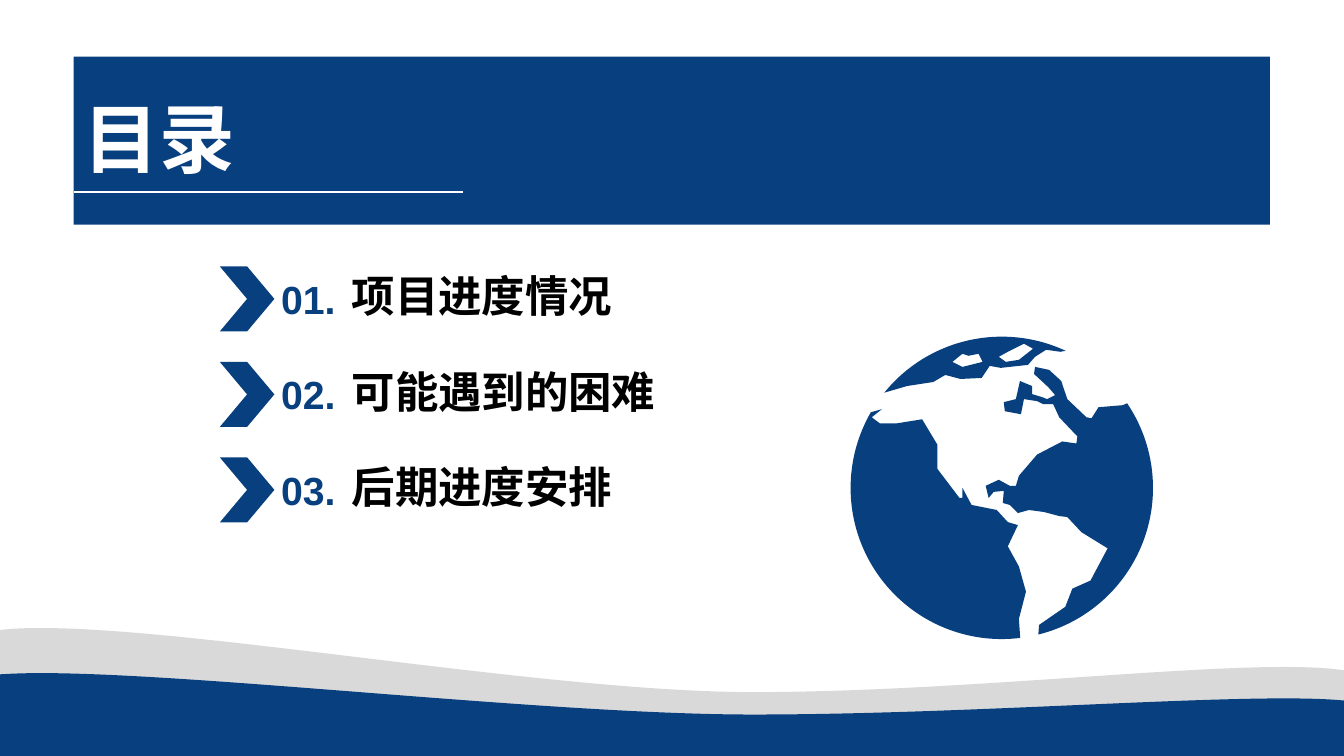
from math import cos, radians, sin, tan

from lxml import etree
from pptx import Presentation
from pptx.dml.color import RGBColor
from pptx.enum.shapes import MSO_CONNECTOR as CONN, MSO_SHAPE as SHAPE
from pptx.enum.text import MSO_ANCHOR as ANCHOR, MSO_AUTO_SIZE as AUTO, PP_ALIGN as ALIGN
from pptx.oxml.ns import qn
from pptx.util import Pt

NAVY, GREY, WHITE, BLACK = "083F7F", "D9D9D9", "FFFFFF", "000000"
TOPICS = ["项目进度情况", "可能遇到的困难", "后期进度安排"]
FINE = 100  # outline units per point

# Globe outlines on a 300 x 300 grid; an "arc" runs along the rim through the given degrees
GLOBE = [
    [(31, 72), (21, 80), (29, 86), (46, 86), (71, 82), (86, 107), (86, 131),
     (108, 160), (111, 160), (111, 150), (120, 167), (145, 172), (156, 184),
     (166, 187), (156, 208), (167, 228), (174, 253), (167, 280),
     ("arc", 83, 90, 180, 210)],
    [(183, 30), (197, 33), (209, 44), (212, 53), (215, 62), (234, 80), (239, 81),
     (246, 70), (270, 68), ("arc", -34, 0, 76), (187, 286), (213, 268), (220, 250),
     (238, 242), (255, 210), (229, 194), (215, 179), (207, 178), (192, 174),
     (177, 172), (166, 175), (158, 167), (151, 165), (152, 153), (142, 154),
     (137, 160), (134, 148), (147, 142), (158, 148), (164, 148), (167, 138),
     (185, 117), (210, 104), (224, 106), (225, 99), (207, 80), (201, 67), (191, 67),
     (185, 64), (172, 62), (169, 77), (153, 74), (152, 65), (164, 62), (168, 44),
     (180, 49), (180, 57), (190, 60), (195, 62), (203, 58), (196, 50), (182, 37)],
    [(111, 17), (101, 25), (111, 30), (131, 25), (127, 17), (117, 19)],
    [(172, 7), (156, 15), (147, 20), (154, 25), (167, 23), (181, 12)],
    [("arc", 219, 270, 295), (208, 15), (194, 13), (183, 20), (176, 28), (149, 31),
     (138, 29), (130, 41), (109, 42), (94, 38), (82, 45), (56, 49)],
]


def rgb(value):
    return RGBColor.from_string(value)


def paint(sp, color):
    sp.shadow.inherit = False
    sp.fill.solid()
    sp.fill.fore_color.rgb = rgb(color)
    sp.line.fill.background()


def style(p, size, color):
    p.alignment = ALIGN.LEFT
    for r in p.runs:
        r.font.name = "Arial"
        r.font.size = Pt(size)
        r.font.bold = True
        r.font.color.rgb = rgb(color)


def place(sp, x, y, w, h):
    sp.left, sp.top, sp.width, sp.height = Pt(x), Pt(y), Pt(w), Pt(h)


def add_outline(s, contours, color):
    """Fill closed contours of segments: one point for a line, three for a curve."""
    builder = None
    for contour in contours:
        first, *rest = [(x * FINE, y * FINE) for segment in contour for x, y in segment]
        if builder is None:
            builder = s.shapes.build_freeform(*first, scale=Pt(1) / FINE)
        else:
            builder.move_to(*first)
        builder.add_line_segments(rest, close=True)
    sp = builder.convert_to_shape()
    paint(sp, color)
    # Join the three points of each curve
    lines = iter(list(sp.element.iter(qn("a:lnTo"))))
    for contour in contours:
        for segment in contour[1:]:
            parts = [next(lines) for _ in segment]
            if len(parts) == 3:
                curve = etree.Element(qn("a:cubicBezTo"))
                parts[0].addprevious(curve)
                for part in parts:
                    curve.append(part[0])
                    part.getparent().remove(part)


def add_wave(s, box, heights, color):
    """A crest on the left, a trough and a rise, filled down to the box bottom."""
    x, y, w, h = box
    start, crest, trough, dip, end = (y + v for v in heights)
    add_outline(s, [[
        [(x, start)],
        [(x + 0.01 * w, crest + 0.3), (x + 0.02 * w, crest), (x + 0.03 * w, crest)],
        [(x + 0.15 * w, crest), (x + 0.41 * w, trough), (x + 0.56 * w, trough)],
        [(x + 0.73 * w, trough), (x + 0.93 * w, dip), (x + w, end)],
        [(x + w, y + h)],
        [(x, y + h)],
    ]], color)


def add_header(s, box, text):
    x, y, w, h = box
    band = s.shapes.add_shape(SHAPE.RECTANGLE, Pt(x), Pt(y), Pt(w), Pt(h))
    paint(band, NAVY)
    # Title above the band
    title = s.shapes.title
    band.element.addnext(title.element)
    place(title, x, y + 21.6, 236, 55.4)
    tf = title.text_frame
    tf.text = text
    tf.auto_size = AUTO.NONE
    tf.vertical_anchor = ANCHOR.TOP
    style(tf.paragraphs[0], 54, WHITE)
    # Rule under the title
    rule = s.shapes.add_connector(CONN.STRAIGHT, Pt(x + 0.5), Pt(y + 96.8),
                                  Pt(x + 278.2), Pt(y + 96.8))
    rule.line.color.rgb = rgb(WHITE)
    rule.line.width = Pt(1.5)
    etree.SubElement(rule.element.spPr, qn("a:effectLst"))


def add_agenda(s, box, topics):
    x, y, w, pitch = box
    # Chevrons and numbers
    for i in range(len(topics)):
        top = y + i * pitch
        chevron = s.shapes.add_shape(SHAPE.CHEVRON, Pt(x), Pt(top), Pt(39), Pt(46.5))
        paint(chevron, NAVY)
        number = s.shapes.add_textbox(Pt(x + 36.7), Pt(top - 5.7), Pt(77.8), Pt(57.6))
        tf = number.text_frame
        tf.word_wrap = True
        tf.vertical_anchor = ANCHOR.MIDDLE
        tf.text = f"{i + 1:02}."
        style(tf.paragraphs[0], 28, NAVY)
    # Topics, one line per chevron
    body = s.placeholders[1]
    place(body, x + 87, y - 29, w - 87, pitch * len(topics))
    tf = body.text_frame
    tf.auto_size = AUTO.NONE
    tf.vertical_anchor = ANCHOR.TOP
    tf.margin_top = tf.margin_bottom = 0
    tf.text = "\n".join(topics)
    for p in tf.paragraphs:
        p.line_spacing = Pt(pitch)
        p.space_before = Pt(0)
        style(p, 31, BLACK)
        pPr = p._p.get_or_add_pPr()
        pPr.set("marL", "0")
        pPr.set("indent", "0")
        etree.SubElement(pPr, qn("a:buNone"))


def add_globe(s, box):
    x, y, size = box
    radius = size / 2

    def rim(angle, along=0):
        """Point on the rim, moved along the tangent by a share of the radius."""
        a = radians(angle)
        return (x + radius * (1 + cos(a) - along * sin(a)),
                y + radius * (1 + sin(a) + along * cos(a)))

    def trace(contour):
        for step in contour:
            if step[0] == "arc":
                angles = step[1:]
                yield [rim(angles[0])]
                for a, b in zip(angles, angles[1:]):
                    pull = 4 / 3 * tan(radians(b - a) / 4)
                    yield [rim(a, pull), rim(b, -pull), rim(b)]
            else:
                yield [(x + step[0] * size / 300, y + step[1] * size / 300)]

    add_outline(s, [list(trace(contour)) for contour in GLOBE], NAVY)


def main():
    prs = Presentation()
    prs.slide_width, prs.slide_height = Pt(960), Pt(540)
    s = prs.slides.add_slide(prs.slide_layouts[1])
    add_wave(s, (0, 440, 960, 100), (10, 8.6, 54.4, 28.7, 38.8), GREY)
    add_wave(s, (0, 475, 960, 65), (6.7, 5.8, 35.4, 18.9, 25.4), NAVY)
    add_header(s, (52.6, 40.4, 854.6, 120.2), "目录")
    add_agenda(s, (157, 190.3, 480, 68.2), TOPICS)
    add_globe(s, (607.6, 240.5, 216))
    prs.save("out.pptx")


if __name__ == "__main__":
    main()
